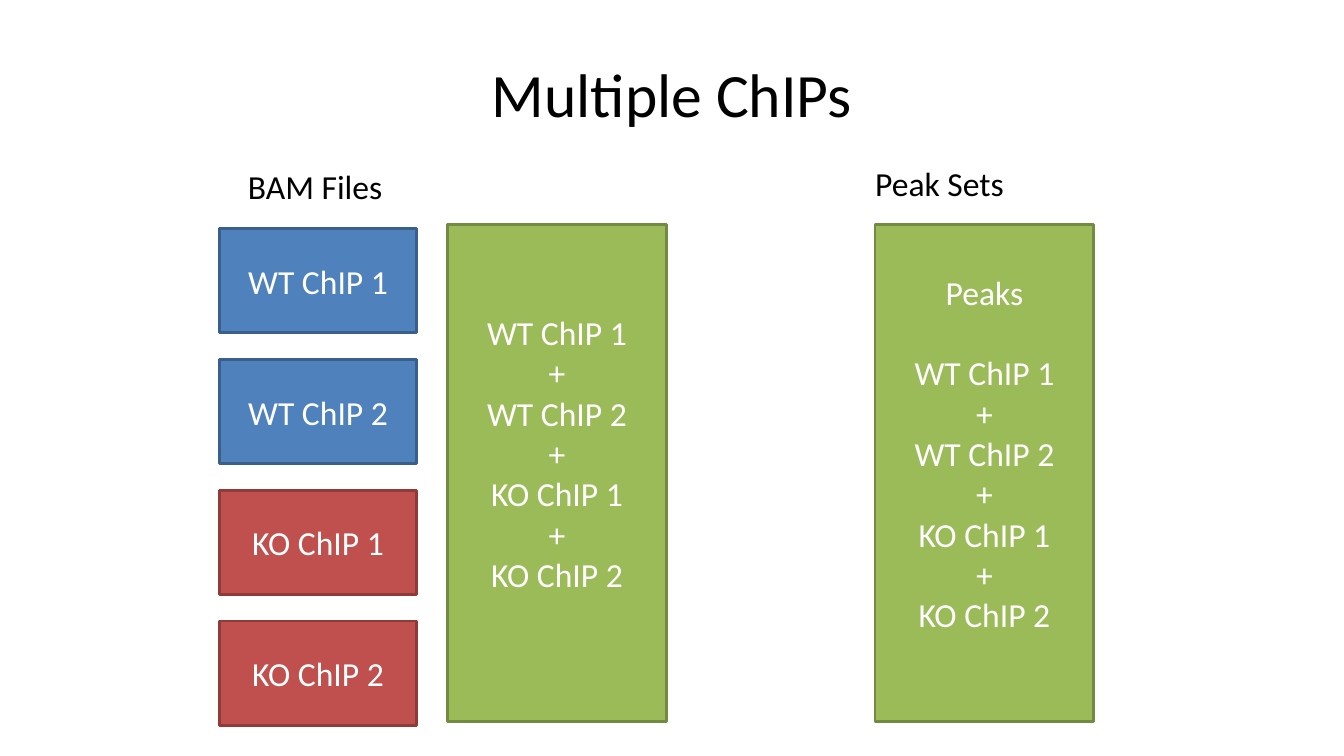
"""Build the Multiple ChIPs slide: BAM files, pooled reads and peak sets."""
from pptx import Presentation
from pptx.dml.color import RGBColor
from pptx.enum.shapes import MSO_SHAPE
from pptx.enum.text import MSO_ANCHOR, MSO_AUTO_SIZE, PP_ALIGN
from pptx.util import Pt


def style(p, size, color, align):
    p.alignment = align
    p.font.name = "Calibri"
    p.font.size = Pt(size)
    p.font.color.rgb = RGBColor.from_string(color)


def add_box(x, y, w, h, fill, line, texts):
    sp = s.shapes.add_shape(MSO_SHAPE.RECTANGLE, Pt(x), Pt(y), Pt(w), Pt(h))
    sp.shadow.inherit = False
    sp.fill.solid()
    sp.fill.fore_color.rgb = RGBColor.from_string(fill)
    sp.line.color.rgb = RGBColor.from_string(line)
    sp.line.width = Pt(2)
    tf = sp.text_frame
    tf.word_wrap = True
    tf.vertical_anchor = MSO_ANCHOR.MIDDLE
    tf.text = "\n".join(texts)
    for p in tf.paragraphs:
        style(p, 24, "FFFFFF", PP_ALIGN.CENTER)
    return tf


prs = Presentation()
prs.slide_width, prs.slide_height = Pt(960), Pt(540)
s = prs.slides.add_slide(prs.slide_layouts[5])

title = s.shapes.title
title.left, title.top, title.width, title.height = Pt(48), Pt(21.6), Pt(864), Pt(90)
title.text_frame.text = "Multiple ChIPs"
title.text_frame.vertical_anchor = MSO_ANCHOR.MIDDLE
style(title.text_frame.paragraphs[0], 44, "000000", PP_ALIGN.CENTER)

blue, red = ("4F81BD", "3A5F8C"), ("C0504D", "8E3B39")
samples = [("WT ChIP 1", blue), ("WT ChIP 2", blue), ("KO ChIP 1", red), ("KO ChIP 2", red)]
for i, (name, (fill, line)) in enumerate(samples):
    add_box(157, 163.4 + i * 93.4, 140.4, 74.4, fill, line, [name])

for text, x, y, w in [("BAM Files", 170, 115.2, 111.6), ("Peak Sets", 618, 113, 107.3)]:
    tf = s.shapes.add_textbox(Pt(x), Pt(y), Pt(w), Pt(36)).text_frame
    tf.word_wrap = False
    tf.auto_size = MSO_AUTO_SIZE.SHAPE_TO_FIT_TEXT
    tf.text = text
    style(tf.paragraphs[0], 24, "000000", PP_ALIGN.LEFT)

pooled = "\n+\n".join(name for name, _ in samples).split("\n")
for x, heading in [(319.7, []), (625, ["Peaks"])]:
    tf = add_box(x, 160.6, 156.4, 355, "9BBB59", "738A42", heading + pooled)
    tf.margin_bottom = Pt(32.6)
    if heading:
        tf.paragraphs[0].space_after = Pt(29)

prs.save("out.pptx")
